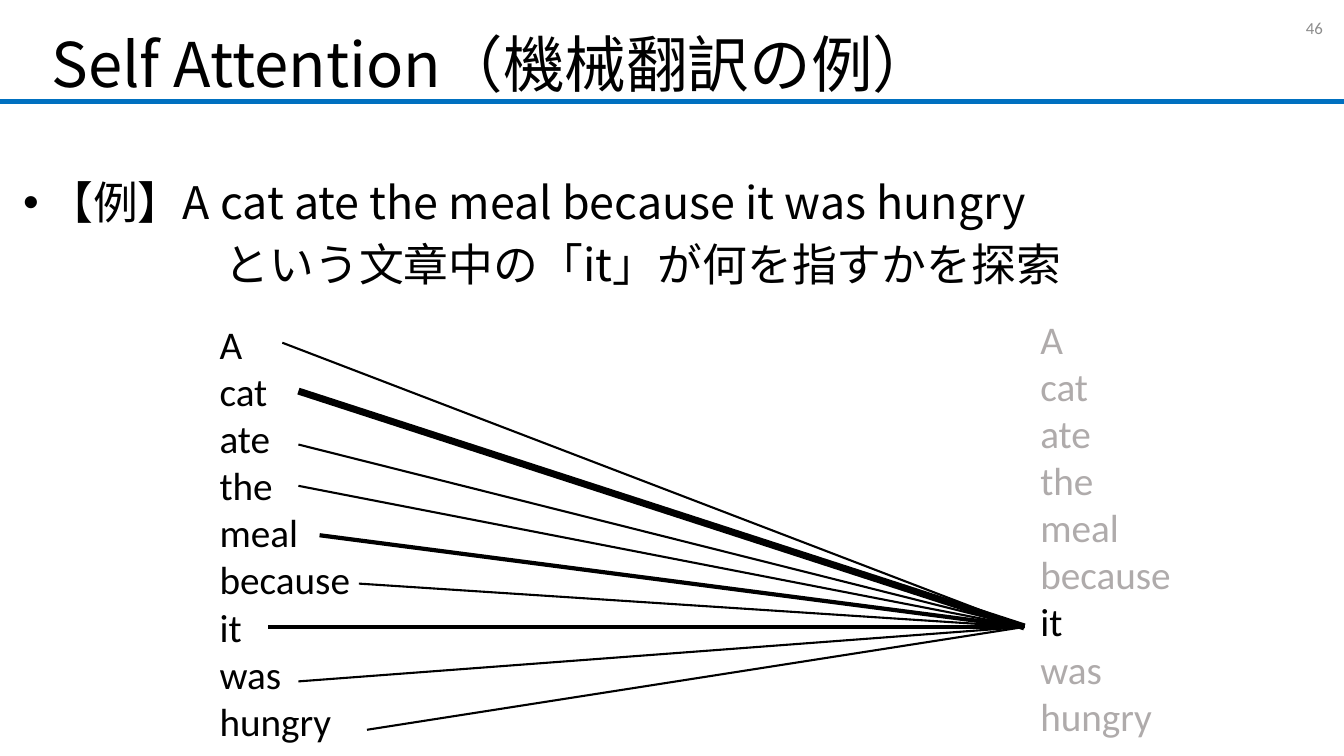
from lxml import etree
from pptx import Presentation
from pptx.dml.color import RGBColor
from pptx.enum.shapes import MSO_CONNECTOR
from pptx.enum.text import MSO_ANCHOR, MSO_AUTO_SIZE, PP_ALIGN
from pptx.oxml.ns import qn
from pptx.util import Inches, Pt

STRAIGHT = MSO_CONNECTOR.STRAIGHT
MIDDLE = MSO_ANCHOR.MIDDLE
FIT_SHAPE = MSO_AUTO_SIZE.SHAPE_TO_FIT_TEXT
NO_FIT = MSO_AUTO_SIZE.NONE
LEFT, RIGHT = PP_ALIGN.LEFT, PP_ALIGN.RIGHT

BLACK = RGBColor(0x00, 0x00, 0x00)
BLUE = RGBColor(0x00, 0x70, 0xC0)
PALE = RGBColor(0xAF, 0xAB, 0xAB)
GRAY = RGBColor(0x8C, 0x8C, 0x8C)

LATIN = "Calibri"
JAPANESE = "Noto Sans CJK JP"

SENTENCE = "A cat ate the meal because it was hungry"
FOCUS = "it"
FOCUS_POINT = (10.16, 6.22)
ATTENTION = [
    (2.8, 3.4, 1.5),
    (2.96, 3.88, 5),
    (2.96, 4.41, 1.5),
    (2.96, 4.82, 1.5),
    (3.17, 5.31, 3),
    (3.56, 5.79, 1.5),
    (2.66, 6.22, 3.25),
    (2.96, 6.76, 1.5),
    (3.64, 7.24, 1.5),
]


def add_run(paragraph, text, size, font_name, color):
    run = paragraph.add_run()
    run.text = text
    run.font.size = Pt(size)
    run.font.name = font_name
    run.font.color.rgb = color
    if font_name == JAPANESE:
        east_asian = etree.SubElement(run.font._element, qn("a:ea"))
        east_asian.set("typeface", font_name)


def add_text_frame(slide, left, top, width, height):
    box = slide.shapes.add_textbox(
        Inches(left), Inches(top), Inches(width), Inches(height))
    box.text_frame.word_wrap = True
    return box.text_frame


def add_line(slide, start, end, color, weight):
    line = slide.shapes.add_connector(
        STRAIGHT, *(Inches(value) for value in (*start, *end)))
    line.line.color.rgb = color
    line.line.width = Pt(weight)
    etree.SubElement(line._element.spPr, qn("a:effectLst"))


def set_title(slide, text):
    title = slide.shapes.title
    title.left, title.top = Inches(0.41), Inches(0)
    title.width, title.height = Inches(12.54), Inches(1.34)
    frame = title.text_frame
    frame.auto_size = NO_FIT
    frame.vertical_anchor = MIDDLE
    paragraph = frame.paragraphs[0]
    paragraph.alignment = LEFT
    paragraph.line_spacing = 0.9
    add_run(paragraph, text, 44, JAPANESE, BLACK)


def add_page_number(slide, number):
    frame = add_text_frame(slide, 10.22, 0.08, 3, 0.4)
    frame.vertical_anchor = MIDDLE
    paragraph = frame.paragraphs[0]
    paragraph.alignment = RIGHT
    add_run(paragraph, number, 12, LATIN, GRAY)


def set_indent(paragraph, margin, first_line=0):
    properties = paragraph._p.get_or_add_pPr()
    properties.set("marL", str(Inches(margin)))
    properties.set("indent", str(Inches(first_line)))
    return properties


def add_example(slide):
    frame = add_text_frame(slide, 0.13, 1.42, 13.09, 1.87)
    example = frame.paragraphs[0]
    properties = set_indent(example, 0.25, -0.25)
    etree.SubElement(properties, qn("a:buFont")).set("typeface", "Arial")
    etree.SubElement(properties, qn("a:buChar")).set("char", "•")
    example.line_spacing = 1.5
    add_run(example, f"【例】{SENTENCE}", 32, JAPANESE, BLACK)

    question = frame.add_paragraph()
    set_indent(question, 2)
    question.line_spacing = 0.9
    question.space_before = Pt(10)
    add_run(question, f"という文章中の「{FOCUS}」が何を指すかを探索", 32, JAPANESE, BLACK)


def add_word_column(slide, left, top, color):
    frame = add_text_frame(slide, left, top, 1.6, 4.34)
    frame.word_wrap = False
    frame.auto_size = FIT_SHAPE
    for index, word in enumerate(SENTENCE.split()):
        paragraph = frame.add_paragraph() if index else frame.paragraphs[0]
        add_run(paragraph, word, 28, LATIN, BLACK if word == FOCUS else color)


def main():
    presentation = Presentation()
    presentation.slide_width = Inches(13.33)
    presentation.slide_height = Inches(7.5)
    slide = presentation.slides.add_slide(presentation.slide_layouts[5])

    add_line(slide, (0, 1.01), (13.33, 1.01), BLUE, 3.75)
    set_title(slide, "Self Attention（機械翻訳の例）")
    add_page_number(slide, "46")
    add_word_column(slide, 2.08, 3.13, BLACK)
    add_word_column(slide, 10.22, 3.08, PALE)
    for left, top, weight in ATTENTION:
        add_line(slide, (left, top), FOCUS_POINT, BLACK, weight)
    add_example(slide)

    presentation.save("out.pptx")


if __name__ == "__main__":
    main()
